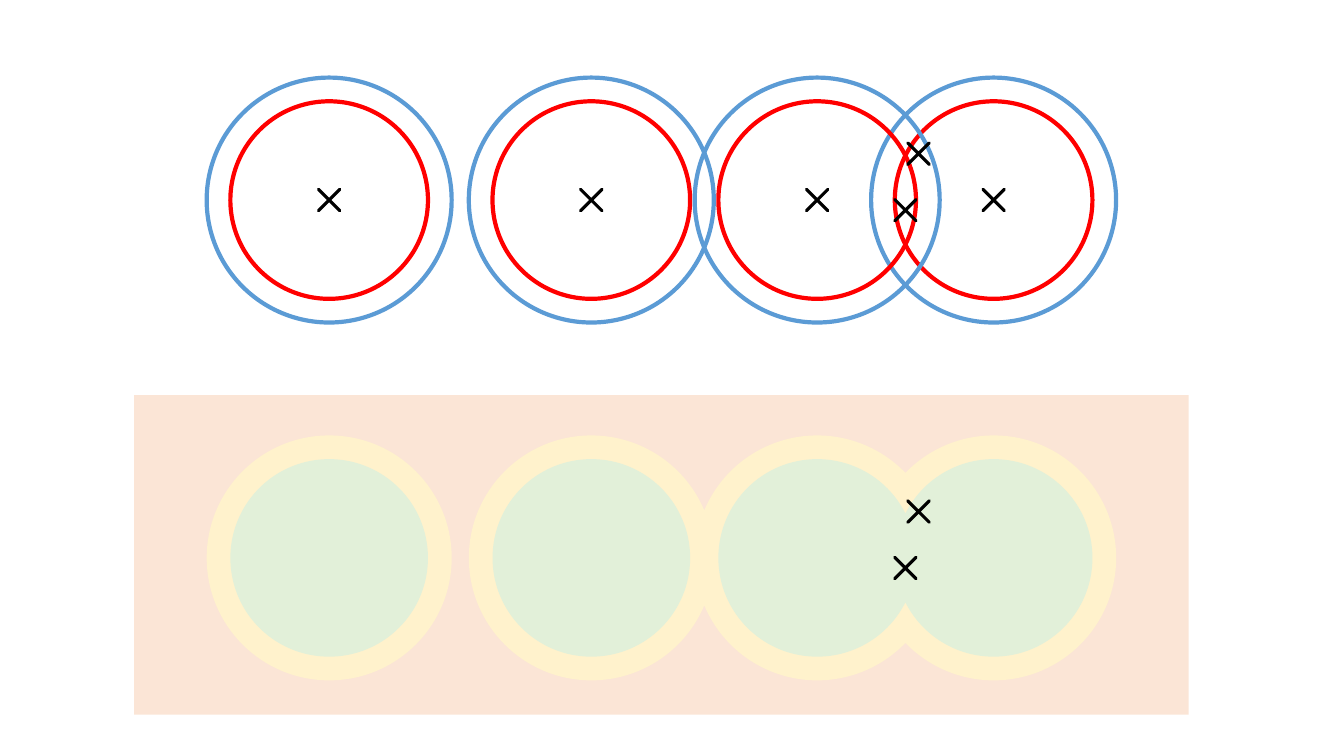
"""Four pairs of concentric circles above the merged zones that they form."""
from math import acos, cos, pi, sin, tan

from lxml.etree import SubElement
from pptx import Presentation
from pptx.dml.color import RGBColor
from pptx.enum.shapes import MSO_SHAPE as Shape
from pptx.oxml.ns import qn
from pptx.util import Inches, Pt

BLUE = RGBColor(0x5B, 0x9B, 0xD5)
RED = RGBColor(0xFF, 0x00, 0x00)
BLACK = RGBColor(0x00, 0x00, 0x00)
PEACH = RGBColor(0xFB, 0xE5, 0xD6)
YELLOW = RGBColor(0xFF, 0xF2, 0xCC)
GREEN = RGBColor(0xE2, 0xF0, 0xD9)

OUTER, INNER, CROSS = 2.43, 1.96, 0.41
RINGS_Y, ZONES_Y = 0.77 + OUTER / 2, 4.32 + OUTER / 2
FIRST, SECOND, THIRD, FOURTH = [
    left + OUTER / 2 for left in (2.05, 4.65, 6.89, 8.64)]


def paint(shape, fill=None, line=None, width=3):
    shape.shadow.inherit = False
    for color, target in ((fill, shape.fill), (line, shape.line.fill)):
        if color is None:
            target.background()
        else:
            target.solid()
            target.fore_color.rgb = color
    if line is not None:
        shape.line.width = Pt(width)


def union_outline(centers, radius):
    upper = [(centers[0] - radius, 0)]
    for index, center in enumerate(centers):
        start, end = pi, 0
        if index > 0:
            start = pi - acos((center - centers[index - 1]) / 2 / radius)
        if index < len(centers) - 1:
            end = acos((centers[index + 1] - center) / 2 / radius)
        for begin, stop in ((start, pi / 2), (pi / 2, end)):
            pull = 4 / 3 * tan((stop - begin) / 4)
            arc = [
                (cos(begin) - pull * sin(begin), sin(begin) + pull * cos(begin)),
                (cos(stop) + pull * sin(stop), sin(stop) - pull * cos(stop)),
                (cos(stop), sin(stop)),
            ]
            upper += [(center + radius * x, radius * rise) for x, rise in arc]
    lower = [(x, -rise) for x, rise in reversed(upper[:-1])]
    return [(Inches(x), Inches(ZONES_Y - rise)) for x, rise in upper + lower]


deck = Presentation()
deck.slide_width, deck.slide_height = Inches(13.33), Inches(7.5)
page = deck.slides.add_slide(deck.slide_layouts[6])
shapes = page.shapes

background = shapes.add_shape(
    Shape.RECTANGLE, Inches(1.33), Inches(3.92), Inches(10.46), Inches(3.17))
paint(background, fill=PEACH)

zones = [
    (YELLOW, OUTER, [[FIRST], [SECOND, THIRD, FOURTH]]),
    (GREEN, INNER, [[SECOND], [THIRD, FOURTH]]),
]
for color, size, chains in zones:
    first, *others = [union_outline(chain, size / 2) for chain in chains]
    builder = shapes.build_freeform(*first[0])
    builder.add_line_segments(first[1:], close=True)
    for outline in others:
        builder.move_to(*outline[0])
        builder.add_line_segments(outline[1:], close=True)
    zone = builder.convert_to_shape()
    paint(zone, fill=color)
    lines = list(zone._element.iter(qn("a:lnTo")))
    for triple in zip(lines[::3], lines[1::3], lines[2::3]):
        contour = triple[0].getparent()
        curve = SubElement(contour, qn("a:cubicBezTo"))
        triple[0].addprevious(curve)
        for line in triple:
            curve.append(line[0])
            contour.remove(line)

dot = shapes.add_shape(
    Shape.OVAL, Inches(FIRST - INNER / 2), Inches(ZONES_Y - INNER / 2),
    Inches(INNER), Inches(INNER))
paint(dot, fill=GREEN)

marks = []
for center in (FIRST, FOURTH, SECOND, THIRD):
    marks += [
        (Shape.OVAL, center, RINGS_Y, OUTER, BLUE, 3),
        (Shape.OVAL, center, RINGS_Y, INNER, RED, 3),
        (Shape.MATH_MULTIPLY, center, RINGS_Y, CROSS, BLACK, 2.25),
    ]
for middle in (RINGS_Y, ZONES_Y):
    for center, offset in ((9.11, -0.46), (8.98, 0.1)):
        marks.append(
            (Shape.MATH_MULTIPLY, center, middle + offset, CROSS, BLACK, 2.25))

for kind, x, y, size, color, width in marks:
    mark = shapes.add_shape(
        kind, Inches(x - size / 2), Inches(y - size / 2),
        Inches(size), Inches(size))
    if kind == Shape.MATH_MULTIPLY:
        mark.adjustments[0] = 0
    paint(mark, line=color, width=width)

deck.save("out.pptx")
